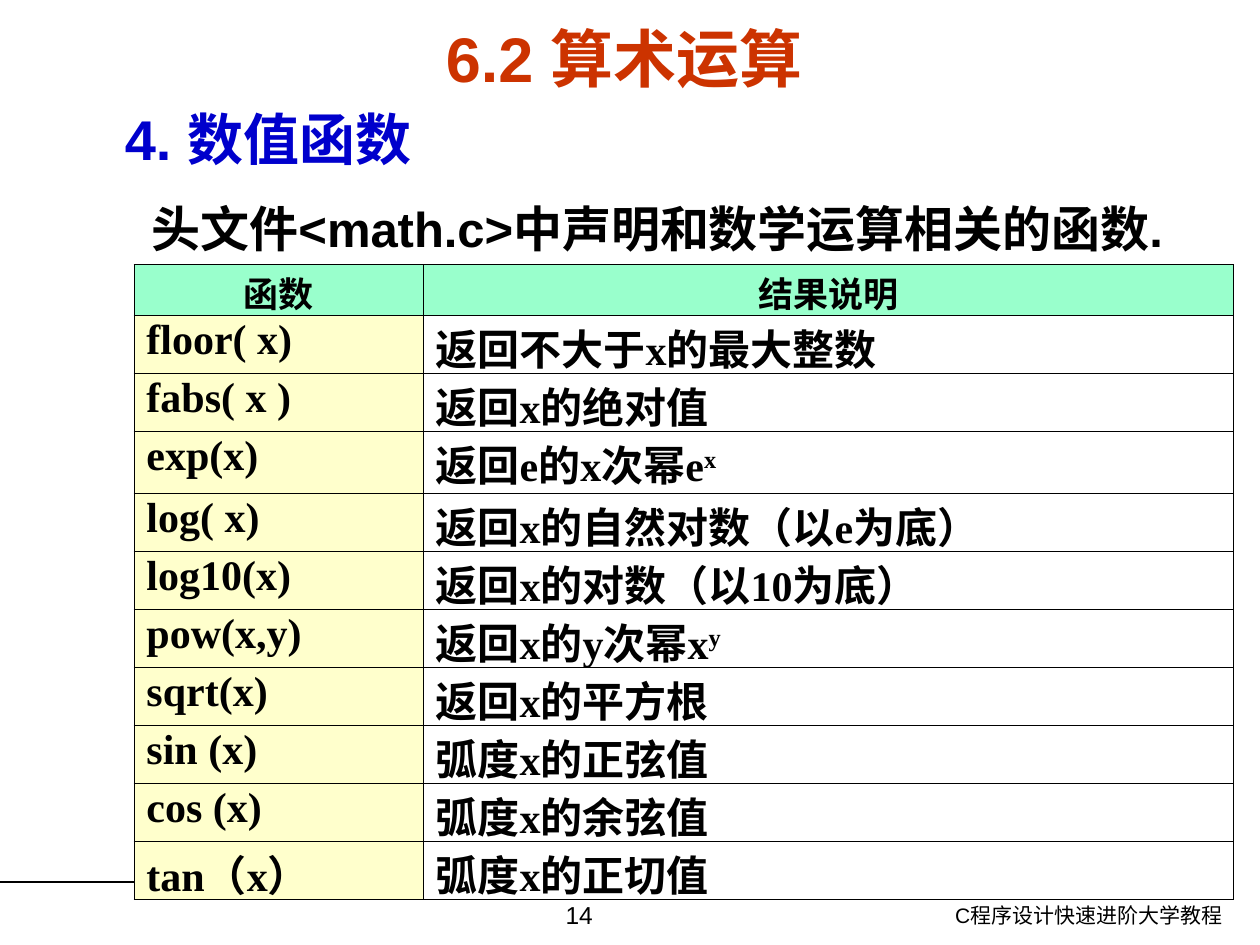
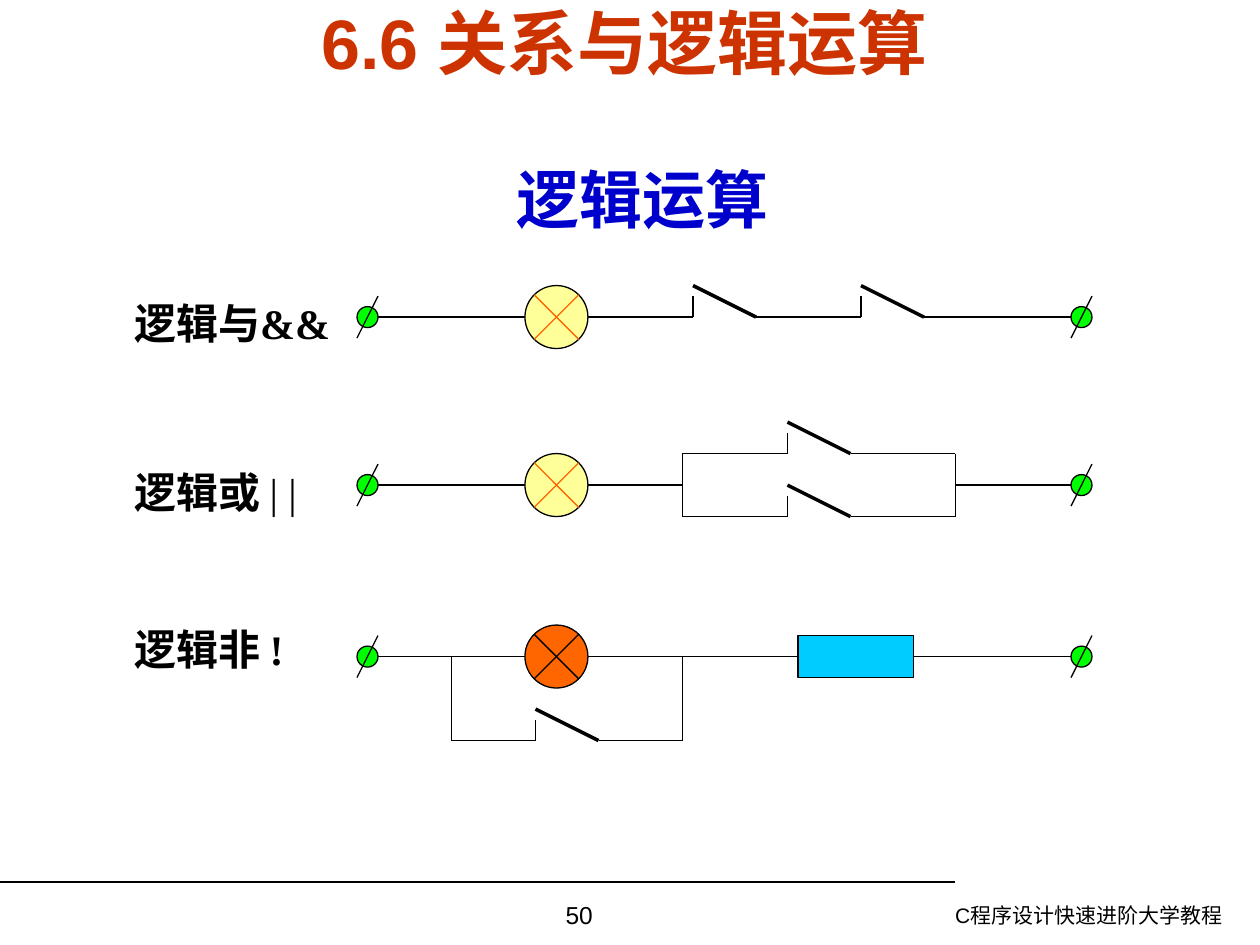
import math

from lxml import etree
from pptx import Presentation
from pptx import util as u
from pptx.dml import color
from pptx.enum import shapes, text
from pptx.oxml import ns

Pt = u.Pt
ARIAL, TIMES = "Arial", "Times New Roman"
BLACK, WHITE, BLUE, RED = "000000", "FFFFFF", "0000CC", "CC3300"
LEFT, CENTER, RIGHT = (text.PP_ALIGN.LEFT, text.PP_ALIGN.CENTER,
                       text.PP_ALIGN.RIGHT)
TOP, MIDDLE, BOTTOM = (text.MSO_ANCHOR.TOP, text.MSO_ANCHOR.MIDDLE,
                       text.MSO_ANCHOR.BOTTOM)

HEADING = dict(name=ARIAL, size=32, color=BLUE, bold=True)
SUBTITLE = {**HEADING, "size": 36}
STATEMENT = {**HEADING, "size": 28, "color": BLACK}
TITLE = {**HEADING, "color": RED}
FOOTER = dict(name=ARIAL, size=12, color=BLACK, bold=False)
PAGE_NUMBER = {**FOOTER, "size": 14}
LABEL = dict(name=TIMES, size=24, color=BLACK, bold=True)
TABLE_HEAD = {**LABEL, "size": 20}

# function, description, superscript
FUNCTIONS = [
    ("floor( x)", "返回不大于x的最大整数", ""),
    ("fabs( x )", "返回x的绝对值", ""),
    ("exp(x)", "返回e的x次幂e", "x"),
    ("log( x)", "返回x的自然对数（以e为底）", ""),
    ("log10(x)", "返回x的对数（以10为底）", ""),
    ("pow(x,y)", "返回x的y次幂x", "y"),
    ("sqrt(x)", "返回x的平方根", ""),
    ("sin (x)", "弧度x的正弦值", ""),
    ("cos (x)", "弧度x的余弦值", ""),
    ("tan（x）", "弧度x的正切值", ""),
]


def rgb(value):
    return color.RGBColor.from_string(value)


def add_run(paragraph, words, style):
    run = paragraph.add_run()
    run.text = words
    for key, value in style.items():
        if key == "color":
            run.font.color.rgb = rgb(value)
        else:
            setattr(run.font, key, Pt(value) if key == "size" else value)
    return run


def add_text(slide, box, runs, align=LEFT, anchor=MIDDLE):
    """Place one paragraph, given as (words, style) pairs, in a box."""
    frame = slide.shapes.add_textbox(*map(Pt, box)).text_frame
    frame.word_wrap = True
    frame.vertical_anchor = anchor
    paragraph = frame.paragraphs[0]
    paragraph.alignment = align
    for words, style in runs:
        add_run(paragraph, words, style)


def add_line(canvas, start, end, width=0.75, stroke=BLACK):
    line = canvas.add_connector(shapes.MSO_CONNECTOR.STRAIGHT,
                                *map(Pt, (*start, *end)))
    line.line.width = Pt(width)
    line.line.color.rgb = rgb(stroke)
    etree.SubElement(line._element.spPr, ns.qn("a:effectLst"))


def add_component(canvas, kind, box, fill):
    component = canvas.add_shape(kind, *map(Pt, box))
    component.shadow.inherit = False
    component.fill.solid()
    component.fill.fore_color.rgb = rgb(fill)
    component.line.color.rgb = rgb(BLACK)
    component.line.width = Pt(0.75)


def add_frame(deck, title, title_size, title_anchor, number):
    """Start a slide with its title, rule, page number and footer."""
    slide = deck.slides.add_slide(deck.slide_layouts[6])
    add_line(slide.shapes, (0, 504), (546, 504))
    add_text(slide, (473, 512, 232.6, 28), [("C程序设计快速进阶大学教程", FOOTER)],
             RIGHT, TOP)
    add_text(slide, (247, 510.5, 168, 29.5), [(number, PAGE_NUMBER)],
             CENTER, TOP)
    add_text(slide, (31, 15, 651.6, 36),
             [(title, {**TITLE, "size": title_size})], CENTER, title_anchor)
    return slide


def set_borders(cell):
    properties = cell._tc.get_or_add_tcPr()
    for index, side in enumerate("LRTB"):
        border = etree.Element(ns.qn(f"a:ln{side}"), w=str(Pt(0.45)))
        fill = etree.SubElement(border, ns.qn("a:solidFill"))
        etree.SubElement(fill, ns.qn("a:srgbClr"), val=BLACK)
        properties.insert(index, border)


def fill_cell(cell, words, style, fill, align=LEFT, superscript=""):
    cell.fill.solid()
    cell.fill.fore_color.rgb = rgb(fill)
    set_borders(cell)
    paragraph = cell.text_frame.paragraphs[0]
    paragraph.alignment = align
    paragraph.line_spacing = 0.9
    add_run(paragraph, words, style)
    if superscript:
        power = add_run(paragraph, superscript, style)
        power._r.get_or_add_rPr().set("baseline", "30000")


def add_function_table(slide, left, top):
    widths = (165.3, 463)
    heights = [28.6] + [35.4 if name == "exp(x)" else 33.15
                        for name, _, _ in FUNCTIONS]
    table = slide.shapes.add_table(
        len(heights), len(widths),
        *map(Pt, (left, top, sum(widths), sum(heights)))).table
    table.first_row = table.horz_banding = False
    for column, width in zip(table.columns, widths):
        column.width = Pt(width)
    for row, height in zip(table.rows, heights):
        row.height = Pt(height)
    for column, words in enumerate(("函数", "结果说明")):
        fill_cell(table.cell(0, column), words, TABLE_HEAD, "99FFCC", CENTER)
    for row, (name, result, power) in enumerate(FUNCTIONS, 1):
        fill_cell(table.cell(row, 0), name, LABEL, "FFFFCC")
        fill_cell(table.cell(row, 1), result, LABEL, WHITE, superscript=power)


class Circuit:
    """One circuit, placed from the left end of its main wire."""
    length, lamp_left, lamp_size, terminal = 420, 96, 36, 12

    def __init__(self, slide, left, middle, lamp_fill, cross):
        self.canvas = slide.shapes.add_group_shape().shapes
        self.left, self.middle = left, middle
        for x in (0, self.length - self.terminal):
            self.add_terminal(x)
        self.wire(self.terminal, self.lamp_left)
        self.add_lamp(lamp_fill, cross)

    def line(self, start, end, **style):
        points = [(self.left + x, self.middle + y) for x, y in (start, end)]
        add_line(self.canvas, *points, **style)

    def shape(self, kind, x, y, width, height, fill):
        box = (self.left + x, self.middle + y, width, height)
        add_component(self.canvas, kind, box, fill)

    def add_terminal(self, x):
        size = self.terminal
        self.shape(shapes.MSO_SHAPE.OVAL, x, -size / 2, size, size, "00FF00")
        self.line((x + size, -size), (x, size))

    def add_lamp(self, fill, cross):
        size = self.lamp_size
        self.shape(shapes.MSO_SHAPE.OVAL, self.lamp_left, -size / 2,
                   size, size, fill)
        center = self.lamp_left + size / 2
        reach = size / 2 * math.sqrt(0.5)
        for rise in (-reach, reach):
            self.line((center - reach, rise), (center + reach, -rise),
                      stroke=cross)

    def wire(self, start, end, y=0, switches=()):
        """Draw a level wire that is broken by an open switch at each x."""
        for x in switches:
            self.line((start, y), (x, y))
            self.line((x, y - 12), (x, y))
            self.line((x, y - 18), (x + 36, y), width=2)
            start = x + 36
        self.line((start, y), (end, y))

    def posts(self, xs, top, bottom):
        for x in xs:
            self.line((x, top), (x, bottom))


def add_and_circuit(slide, left, middle):
    circuit = Circuit(slide, left, middle, "FFFF99", "FF6600")
    circuit.wire(132, 408, switches=(192, 288))


def add_or_circuit(slide, left, middle):
    circuit = Circuit(slide, left, middle, "FFFF99", "FF6600")
    fork, join = 186, 342
    circuit.wire(132, fork)
    circuit.wire(join, 408)
    for y in (-18, 18):
        circuit.wire(fork, join, y, switches=(246,))
    circuit.posts((fork, join), -18, 18)


def add_not_circuit(slide, left, middle):
    circuit = Circuit(slide, left, middle, "FF6600", BLACK)
    fork, join = 54, 186
    resistor, width = 252, 66
    circuit.wire(132, resistor)
    circuit.wire(resistor + width, 408)
    circuit.wire(fork, join, 48, switches=(102,))
    circuit.posts((fork, join), 0, 48)
    circuit.shape(shapes.MSO_SHAPE.RECTANGLE, resistor, -12, width, 24,
                  "00CCFF")


def build_functions_slide(deck):
    slide = add_frame(deck, "6.2 算术运算", 36, MIDDLE, "14")
    add_text(slide, (64.2, 56, 400, 46), [("4. 数值函数", HEADING)])
    add_text(slide, (79.6, 108, 640, 44),
             [("头文件<math.c>中声明和数学运算相关的函数.", STATEMENT)])
    add_function_table(slide, 76.5, 151.2)


def build_logic_slide(deck):
    slide = add_frame(deck, "6.6 关系与逻辑运算", 40, BOTTOM, "50")
    add_text(slide, (43, 88.5, 648, 50), [("逻辑运算", SUBTITLE)], CENTER)
    plain = {**LABEL, "bold": False}
    rows = [
        ([("逻辑与&&", LABEL)], 184.3, add_and_circuit, 181.2),
        ([("逻辑或 ", LABEL), ("| |", plain)], 280.8, add_or_circuit, 277.2),
        ([("逻辑非 !", LABEL)], 370.8, add_not_circuit, 375.2),
    ]
    for label, label_middle, add_circuit, wire_middle in rows:
        add_text(slide, (69.5, label_middle - 18, 146, 36), label)
        add_circuit(slide, 204, wire_middle)


def main():
    deck = Presentation()
    deck.slide_width, deck.slide_height = Pt(720), Pt(540)
    build_functions_slide(deck)
    build_logic_slide(deck)
    deck.save("out.pptx")


if __name__ == "__main__":
    main()
